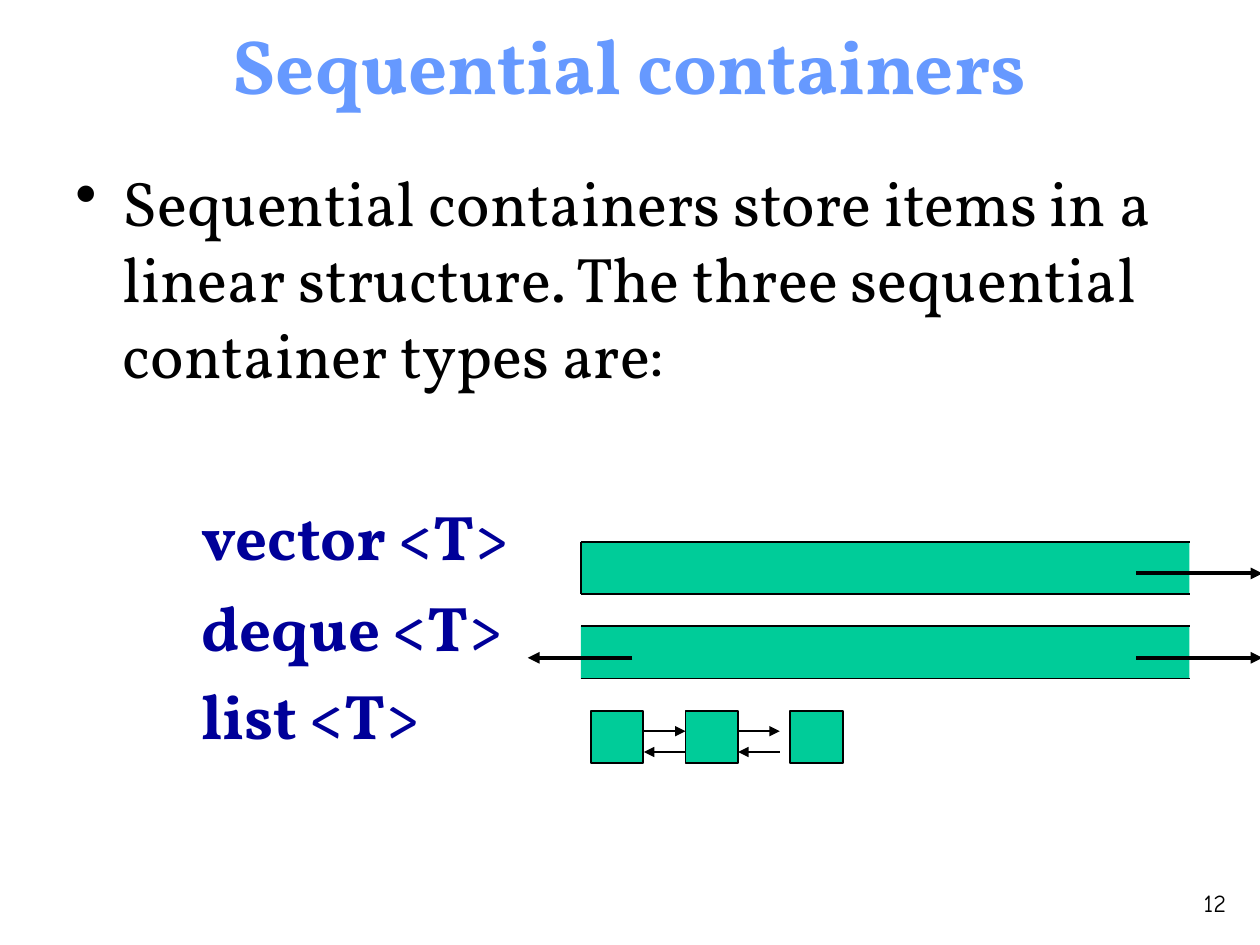
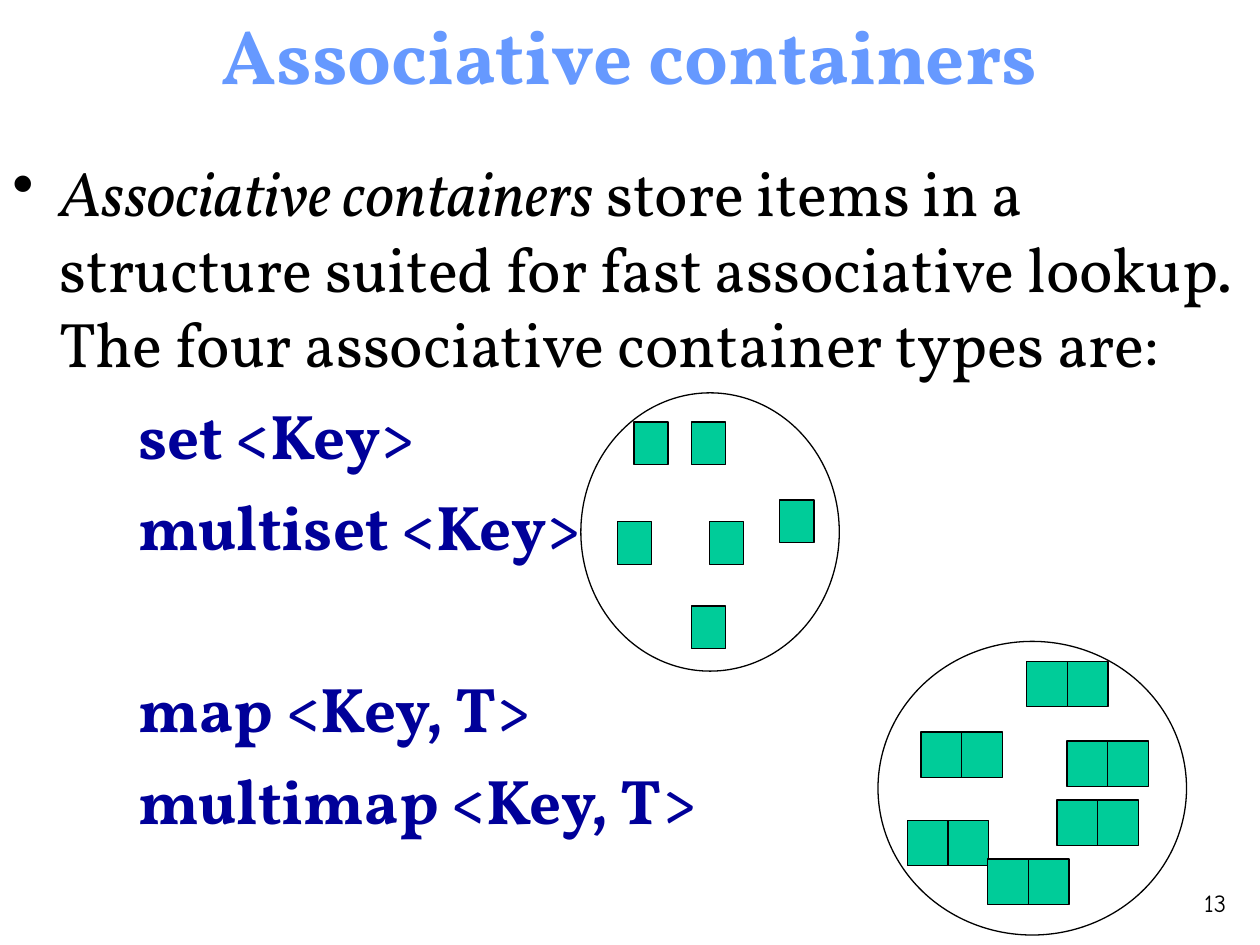
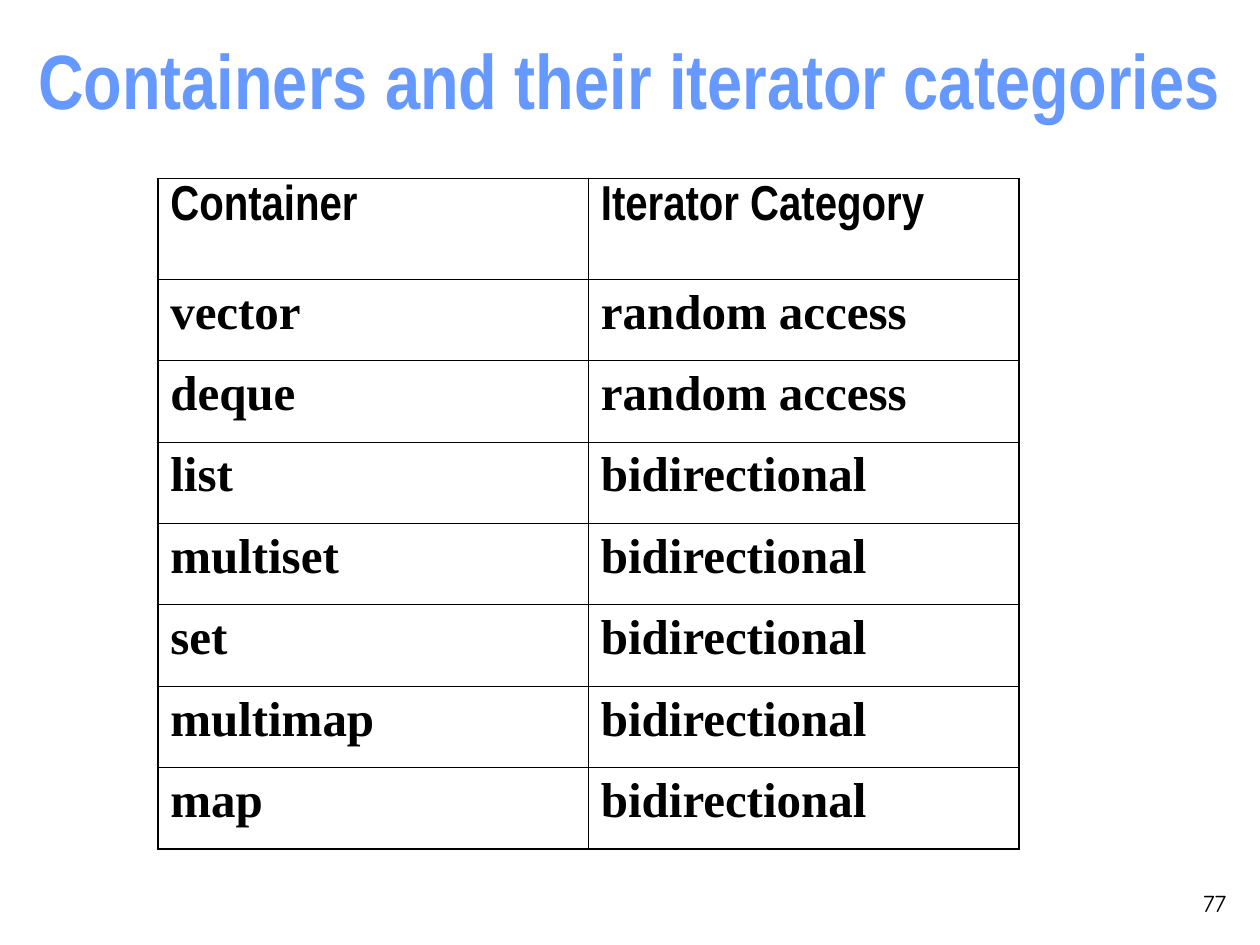
from lxml import etree
from pptx import Presentation
from pptx import util as u
from pptx.dml.color import RGBColor
from pptx.enum import shapes, text
from pptx.oxml.ns import qn


class Theme:
    title = RGBColor(0x66, 0x99, 0xFF)
    code = RGBColor(0x00, 0x00, 0x99)
    ink = RGBColor(0, 0, 0)
    item = RGBColor(0x00, 0xCC, 0x99)
    serif, narrow, number, cell = "Vollkorn", "Arial Narrow", "Comic Neue", "Times New Roman"
    title_size, body_size, cell_size, number_size = 44, 36, 28, 14
    edge, hairline, arrow = 1, 0.75, 2.25
    outer, inner = 1.08, 0.45


def write(tf, content, font=Theme.serif, size=Theme.body_size, color=Theme.ink, bold=False,
          italic=False, align=None, before=0, left=0, first=0, bullet=None, join=False):
    """Add a paragraph, or with join a further run of the last one."""
    if join:
        p = tf.paragraphs[-1]
    else:
        p = tf.add_paragraph() if tf.text else tf.paragraphs[0]
        p.alignment = align
        p.space_before = u.Pt(before)
        pr = p._p.get_or_add_pPr()
        pr.set("marL", str(u.Cm(left)))
        pr.set("indent", str(u.Cm(first)))
        if bullet:
            etree.SubElement(pr, qn("a:buChar")).set("char", bullet)
    r = p.add_run()
    r.text = content
    r.font.name, r.font.size = font, u.Pt(size)
    r.font.bold, r.font.italic = bold, italic
    r.font.color.rgb = color


def draw(parent, kind, x, y, w, h, fill=Theme.item, width=Theme.hairline):
    sp = parent.shapes.add_shape(kind, u.Cm(x), u.Cm(y), u.Cm(w), u.Cm(h))
    sp.shadow.inherit = False
    if fill is None:
        sp.fill.background()
    else:
        sp.fill.solid()
        sp.fill.fore_color.rgb = fill
    if width:
        sp.line.color.rgb = Theme.ink
        sp.line.width = u.Pt(width)
    else:
        sp.line.fill.background()


RECT, OVAL = shapes.MSO_SHAPE.RECTANGLE, shapes.MSO_SHAPE.OVAL
prs = Presentation()
prs.slide_width, prs.slide_height = u.Cm(25.4), u.Cm(19.05)

# Titles, bodies and slide numbers; a body holds (text, space before) for each type
pages = [
    ("Sequential containers", Theme.serif, (1.9, 0.33, 21.6, 1.9), "12",
     (1.27, 3.18, 22.23, 13.76),
     [("Sequential containers store items in a linear structure. "
       "The three sequential container types are:", False)],
     [("vector <T>", 61), ("deque <T>", 9), ("list <T>", 7)]),
    ("Associative containers", Theme.serif, (1.9, 0.13, 21.6, 1.9), "13",
     (0, 2.97, 25.4, 16.08),
     [("Associative containers", True),
      (" store items in a structure suited for fast associative lookup. "
       "The four associative container types are:", False)],
     [("set <Key>", 9), ("multiset <Key>", 9), ("map <Key, T>", 61), ("multimap <Key, T>", 9)]),
    ("Containers and their iterator categories", Theme.narrow, (0, 0, 25.4, 3.18), "77",
     None, [], []),
]
for title, font, title_box, number, body_box, intro, types in pages:
    s = prs.slides.add_slide(prs.slide_layouts[6])
    frames = []
    for box in (title_box, (23.5, 17.78, 1.47, 0.85), body_box):
        if box:
            tf = s.shapes.add_textbox(*map(u.Cm, box)).text_frame
            tf.word_wrap = True
            frames.append(tf)
    frames[0].vertical_anchor = text.MSO_ANCHOR.MIDDLE
    write(frames[0], title, font=font, size=Theme.title_size, color=Theme.title, bold=True,
          align=text.PP_ALIGN.CENTER)
    write(frames[1], number, font=Theme.number, size=Theme.number_size,
          align=text.PP_ALIGN.RIGHT)
    for i, (content, italic) in enumerate(intro):
        write(frames[2], content, italic=italic, left=0.95, first=-0.95, bullet="•", join=i > 0)
    for content, before in types:
        write(frames[2], content, color=Theme.code, bold=True, before=before,
              left=3.18, first=-0.64)

sequential, associative, categories = prs.slides

# Sequential: bars for vector and deque, with edges and growth arrows
bar_x, bar_end, side = 11.71, 23.98, 1.06
vector_y, deque_y, list_y = 10.92, 12.62, 14.33
lines = []  # x1, y1, x2, y2, width, arrowhead
for y in (vector_y, deque_y):
    draw(sequential, RECT, bar_x, y, bar_end - bar_x, side, width=0)
    lines += [(bar_x, edge, bar_end, edge, Theme.edge, False) for edge in (y, y + side)]
    lines.append((22.91, y + 0.64, 25.45, y + 0.64, Theme.arrow, True))
lines.append((bar_x, vector_y, bar_x, vector_y + side, Theme.edge, False))
lines.append((12.75, deque_y + 0.64, 10.64, deque_y + 0.64, Theme.arrow, True))

# Sequential: linked nodes of the list
for x in (11.91, 13.82, 15.93):
    draw(sequential, RECT, x, list_y, side, side, width=Theme.edge)
for x in (12.98, 14.88):
    lines.append((x, list_y + 0.41, x + 0.84, list_y + 0.41, Theme.edge, True))
    lines.append((x + 0.84, list_y + 0.83, x, list_y + 0.83, Theme.edge, True))

for x1, y1, x2, y2, width, head in lines:
    cx = sequential.shapes.add_connector(shapes.MSO_CONNECTOR.STRAIGHT,
                                         *map(u.Cm, (x1, y1, x2, y2)))
    cx.line.color.rgb = Theme.ink
    cx.line.width = u.Pt(width)
    if head:
        etree.SubElement(cx.line._get_or_add_ln(), qn("a:tailEnd")).set("type", "triangle")
    etree.SubElement(cx._element.spPr, qn("a:effectLst"))

# Associative: keys in a set
keys = associative.shapes.add_group_shape()
draw(keys, OVAL, 11.71, 7.92, 5.21, 5.61, fill=None)
for x, y in [(12.78, 8.51), (13.94, 8.51), (13.94, 12.22), (14.3, 10.52),
             (12.45, 10.52), (15.72, 10.08)]:
    draw(keys, RECT, x, y, 0.69, 0.86)

# Associative: key and value pairs in a map
draw(associative, OVAL, 17.7, 12.93, 6.22, 5.92, fill=None)
for x, y in [(18.29, 16.54), (18.57, 14.76), (20.7, 13.34), (19.91, 17.32),
             (21.51, 14.94), (21.31, 16.13)]:
    pair = associative.shapes.add_group_shape()
    for i in range(2):
        draw(pair, RECT, x + i * 0.82, y, 0.82, 0.91)

# Categories: table with a heavier outer border
rows = [("Container", "Iterator Category"), ("vector", "random access"),
        ("deque", "random access"), ("list", "bidirectional"), ("multiset", "bidirectional"),
        ("set", "bidirectional"), ("multimap", "bidirectional"), ("map", "bidirectional")]
table = categories.shapes.add_table(len(rows), 2, u.Cm(3.18), u.Cm(3.6),
                                    u.Cm(17.36), u.Cm(13.51)).table
table.first_row = table.horz_banding = False
for i, row in enumerate(rows):
    table.rows[i].height = u.Cm(1.64 if i else 2.03)
    for j, content in enumerate(row):
        cell = table.cell(i, j)
        write(cell.text_frame, content, font=Theme.cell if i else Theme.narrow,
              size=Theme.cell_size, bold=True)
        pr = cell._tc.get_or_add_tcPr()
        outside = {"L": j == 0, "R": j == 1, "T": i == 0, "B": i == len(rows) - 1}
        for name, outer in outside.items():
            ln = etree.SubElement(pr, qn(f"a:ln{name}"))
            ln.set("w", str(u.Pt(Theme.outer if outer else Theme.inner)))
            fill = etree.SubElement(ln, qn("a:solidFill"))
            etree.SubElement(fill, qn("a:srgbClr")).set("val", str(Theme.ink))
        cell.fill.background()

prs.save("out.pptx")
